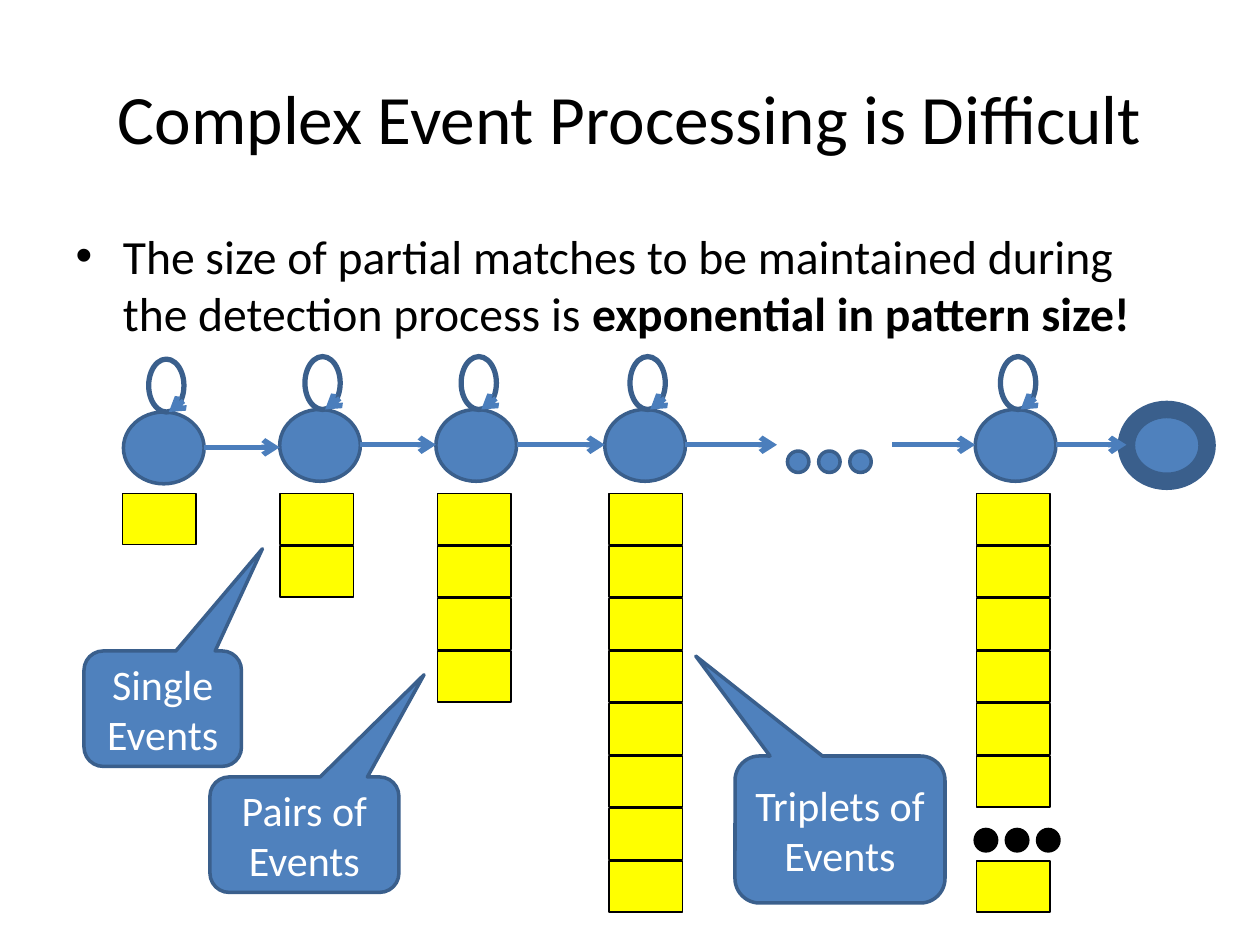
from lxml import etree
from pptx import Presentation
from pptx import util as u
from pptx.dml import color
from pptx.enum import shapes, text
from pptx.oxml import ns

BLUE, EDGE, ARROW = "4F81BD", "3A5F8C", "4B7EBC"
BLACK, WHITE, YELLOW = "000000", "FFFFFF", "FFFF00"
OVAL = shapes.MSO_SHAPE.OVAL
tint = color.RGBColor.from_string

deck = Presentation()
deck.slide_width, deck.slide_height = u.Inches(10), u.Inches(7.5)
page = deck.slides.add_slide(deck.slide_layouts[1])
unit = deck.slide_width / 120


def write(para, words, size=24, ink=BLACK, bold=False, align=None):
    span = para.add_run()
    span.text = words
    span.font.name = "Calibri"
    span.font.size = u.Pt(size)
    span.font.bold = bold
    span.font.color.rgb = tint(ink)
    para.alignment = align


def draw(kind, left, top, width, height, fill=BLUE, line=EDGE, weight=2):
    spot = [round(value * unit) for value in (left, top, width, height)]
    shape = page.shapes.add_shape(kind, *spot)
    shape.shadow.inherit = False
    if fill:
        shape.fill.solid()
        shape.fill.fore_color.rgb = tint(fill)
    else:
        shape.fill.background()
    shape.line.color.rgb = tint(line)
    shape.line.width = u.Pt(weight)
    return shape


title, body = page.placeholders
for box, top, height in [(title, 3.6, 15), (body, 21, 14)]:
    box.left, box.width = round(6 * unit), round(108 * unit)
    box.top, box.height = round(top * unit), round(height * unit)
    box.text_frame.auto_size = text.MSO_AUTO_SIZE.NONE
title.text_frame.vertical_anchor = text.MSO_ANCHOR.MIDDLE
write(title.text_frame.paragraphs[0], "Complex Event Processing is Difficult",
      size=39.6, align=text.PP_ALIGN.CENTER)
para = body.text_frame.paragraphs[0]
para.space_before = u.Pt(0)
write(para, "The size of partial matches to be maintained during the detection process is ", size=27.2)
write(para, "exponential in pattern size!", size=27.2, bold=True)

arrows = [
    (19.44, 42.6, 26.64, 42.6),
    (34.32, 42.36, 41.52, 42.36),
    (49.2, 42.36, 57.6, 42.36),
    (65.28, 42.36, 74, 42.36),
    (85, 42.36, 92.88, 42.36),
    (100.56, 42.36, 107.28, 42.36),
]
states = [
    (11.76, 39.24, 11.67, [0]),
    (26.64, 39, 26.67, range(2)),
    (41.52, 39, 41.67, range(4)),
    (57.6, 39, 58, range(8)),
    (92.88, 39, 93, [0, 1, 2, 3, 4, 5, 7]),
]
for left, top, stack_left, rows in states:
    draw(OVAL, left, top, 7.68, 6.84)
    draw(OVAL, left + 2.4, top - 5.04, 3.36, 5.04, fill=None, weight=3)
    arrows.append((left + 5.28, top - 0.72, left + 4.32, top))
    for row in rows:
        draw(shapes.MSO_SHAPE.RECTANGLE, stack_left, 47 + 5 * row, 7, 4.85,
             fill=YELLOW, line=BLACK, weight=0.75)
draw(OVAL, 107.28, 39, 7.68, 6.84, weight=10)

for left, top, fill, line in [(75, 42.96, BLUE, EDGE), (92.88, 79, BLACK, BLACK)]:
    for dot in range(3):
        draw(OVAL, left + 2.97 * dot, top, 2.04, 2.04, fill=fill, line=line)

for ends in arrows:
    arrow = page.shapes.add_connector(
        shapes.MSO_CONNECTOR.STRAIGHT, *[round(value * unit) for value in ends])
    arrow.line.color.rgb = tint(ARROW)
    arrow.line.width = u.Pt(3)
    etree.SubElement(arrow.line._get_or_add_ln(), ns.qn("a:tailEnd"), type="arrow")
    etree.SubElement(arrow._element.spPr, ns.qn("a:effectLst"))

callouts = [
    ("Single Events", 8, 62, 15, 11, 0.633, -1.385),
    ("Pairs of Events", 20, 74, 18, 11, 0.633, -1.385),
    ("Triplets of Events", 70, 72, 20, 14, -0.687, -1.18),
]
for words, left, top, width, height, tip_x, tip_y in callouts:
    callout = draw(shapes.MSO_SHAPE.ROUNDED_RECTANGULAR_CALLOUT, left, top, width, height)
    callout.adjustments[0], callout.adjustments[1] = tip_x, tip_y
    callout.text_frame.word_wrap = True
    callout.text_frame.vertical_anchor = text.MSO_ANCHOR.MIDDLE
    write(callout.text_frame.paragraphs[0], words, ink=WHITE, align=text.PP_ALIGN.CENTER)

deck.save("out.pptx")
